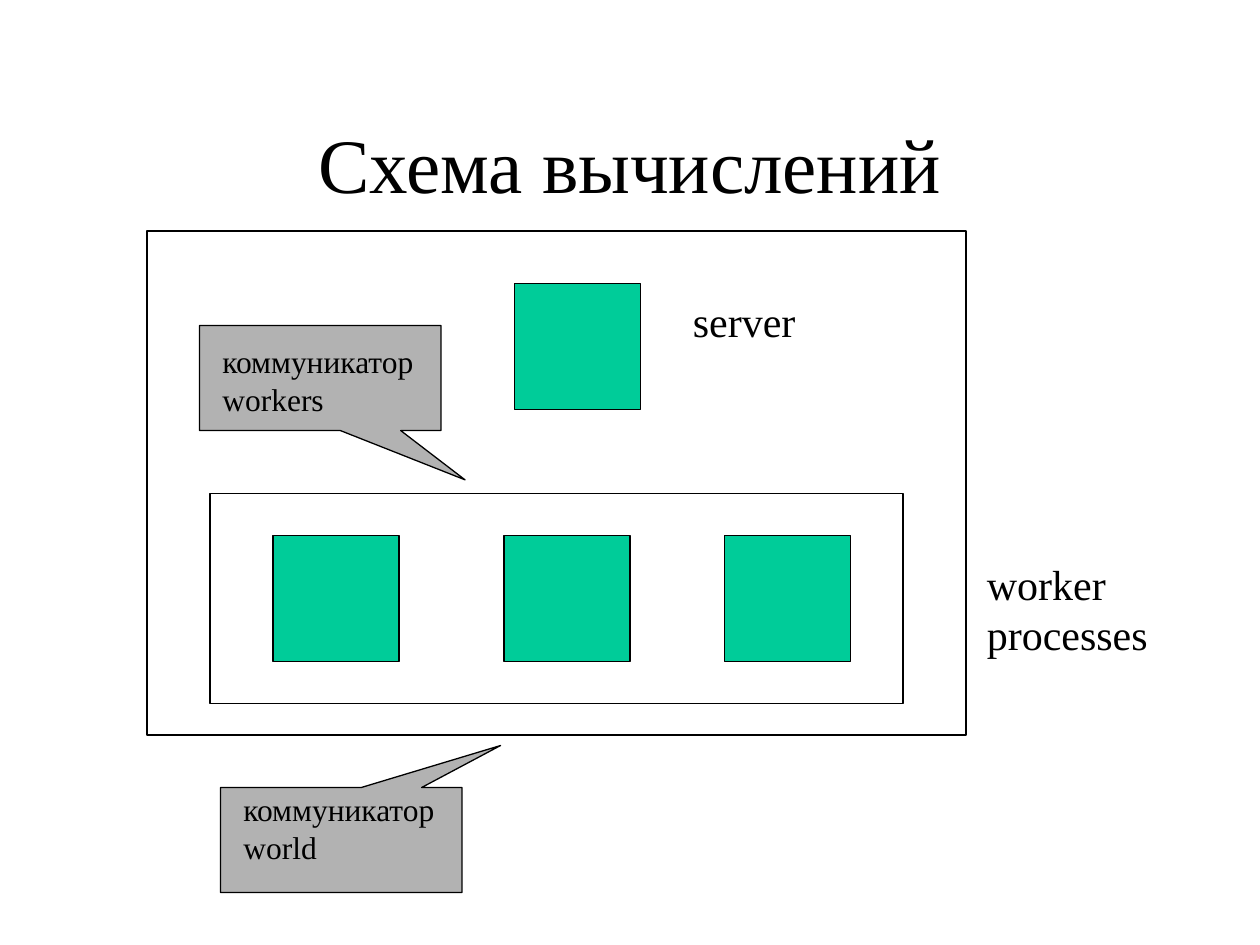
from pptx import Presentation
from pptx.dml.color import RGBColor
from pptx.enum.shapes import MSO_SHAPE
from pptx.enum.text import MSO_ANCHOR, MSO_AUTO_SIZE, PP_ALIGN
from pptx.util import Pt

RECT = MSO_SHAPE.RECTANGLE
CALLOUT = MSO_SHAPE.RECTANGULAR_CALLOUT
MIDDLE = MSO_ANCHOR.MIDDLE
TOP = MSO_ANCHOR.TOP
GROW = MSO_AUTO_SIZE.SHAPE_TO_FIT_TEXT
CENTER = PP_ALIGN.CENTER
LEFT = PP_ALIGN.LEFT

FONT = "Times New Roman"
BLACK, GREEN, GRAY = "000000", "00CC99", "B2B2B2"
SIDE = 72  # side of a process square


def color(code):
    return RGBColor.from_string(code)


def write(frame, lines, size, align=LEFT):
    for i, line in enumerate(lines):
        para = frame.paragraphs[0] if i == 0 else frame.add_paragraph()
        para.alignment = align
        run = para.add_run()
        run.text = line
        run.font.name = FONT
        run.font.size = Pt(size)
        run.font.color.rgb = color(BLACK)


def add_shape(slide, kind, box, fill=None):
    shape = slide.shapes.add_shape(kind, *map(Pt, box))
    shape.shadow.inherit = False
    if fill:
        shape.fill.solid()
        shape.fill.fore_color.rgb = color(fill)
    else:
        shape.fill.background()
    shape.line.color.rgb = color(BLACK)
    shape.line.width = Pt(0.75)
    return shape


def add_label(slide, box, lines, size):
    frame = slide.shapes.add_textbox(*map(Pt, box)).text_frame
    frame.word_wrap = False
    frame.auto_size = GROW
    frame.vertical_anchor = TOP
    write(frame, lines, size)


def add_title(slide, box, text):
    title = slide.shapes.title
    title.left, title.top, title.width, title.height = map(Pt, box)
    title.text_frame.vertical_anchor = MIDDLE
    write(title.text_frame, [text], 44, CENTER)


def add_server(slide, box):
    x, y, w, h = box
    add_shape(slide, RECT, box, GREEN)
    add_label(slide, (x + w + 22.8, y + 3.6, 73, 36), ["server"], 24)


def add_workers(slide, box):
    x, y, w, h = box
    for dx in (36, 168, 294):
        add_shape(slide, RECT, (x + dx, y + 24, SIDE, SIDE), GREEN)
    add_label(slide, (x + w + 40.8, y + 33.4, 107, 65),
              ["worker", "processes"], 24)
    add_shape(slide, RECT, box)


def add_callout(slide, box, tip, shift, name):
    x, y, w, h = box
    shape = add_shape(slide, CALLOUT, box, GRAY)
    shape.adjustments[0], shape.adjustments[1] = tip
    add_label(slide, (x + 6, y + shift, 125.5, 50.4),
              ["коммуникатор", name], 18)


def main():
    deck = Presentation()
    deck.slide_width, deck.slide_height = Pt(720), Pt(540)
    slide = deck.slides.add_slide(deck.slide_layouts[5])

    add_title(slide, (54, 48, 612, 90), "Схема вычислений")

    # Processes
    add_server(slide, (294, 162, SIDE, SIDE))
    add_workers(slide, (120, 282, 396, 120))

    # Communicators: the outer frame and the callouts
    add_callout(slide, (114, 186, 138, 60), (0.6, 0.97), 6, "workers")
    add_shape(slide, RECT, (84, 132, 468, 288))
    add_callout(slide, (126, 450, 138, 60), (0.66, -0.9), -2.2, "world")

    deck.save("out.pptx")


if __name__ == "__main__":
    main()
